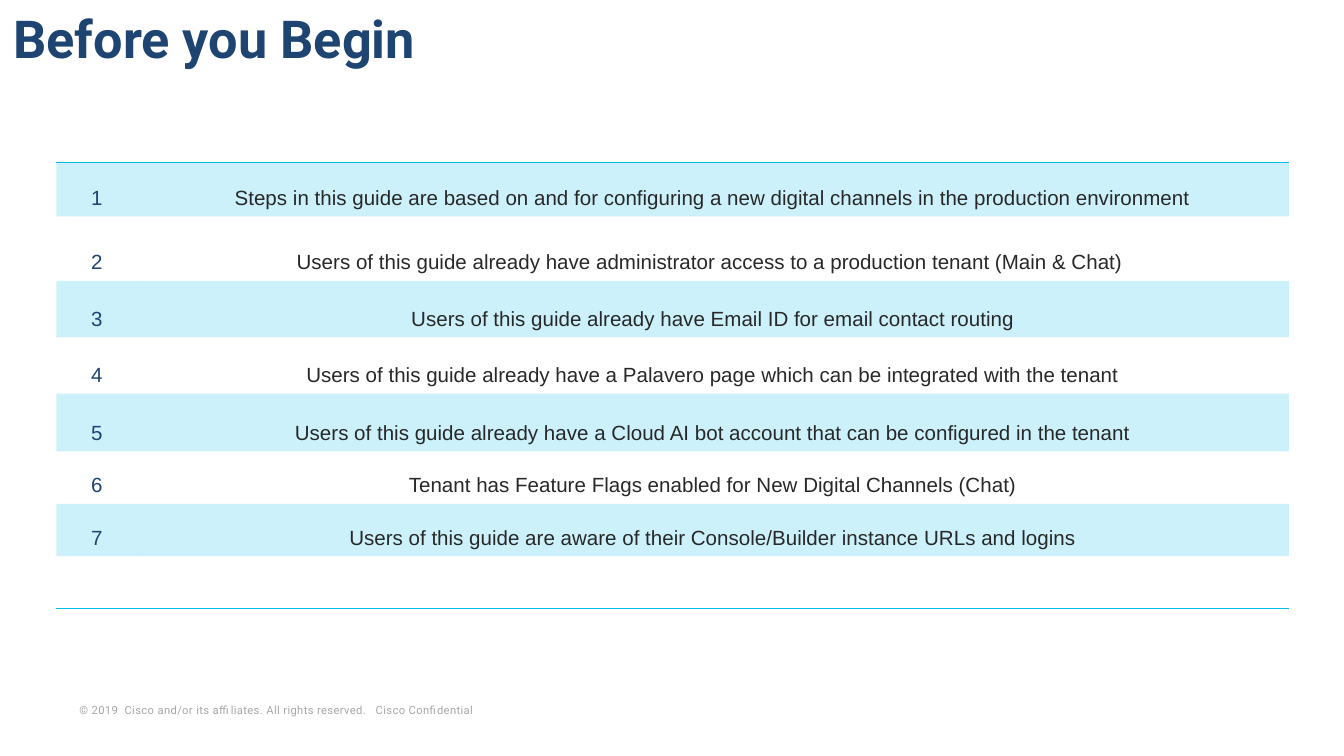
"""Build the "Before you Begin" slide with its table of prerequisites."""
from lxml.etree import SubElement
from pptx import Presentation
from pptx.dml.color import RGBColor
from pptx.enum.text import MSO_ANCHOR, MSO_AUTO_SIZE, PP_ALIGN
from pptx.oxml import parse_xml
from pptx.oxml.ns import nsdecls, qn
from pptx.util import Inches, Pt

NAVY, CYAN, DARK, GREY = "1E4471", "00BCEB", "282828", "A6A6A6"
PREREQUISITES = [
    "Steps in this guide are based on and for configuring a new digital channels in the production environment",
    "Users of this guide already have administrator access to a production tenant (Main & Chat) ",
    "Users of this guide already have Email ID for email contact routing",
    "Users of this guide already have a Palavero page which can be integrated with the tenant",
    "Users of this guide already have a Cloud AI bot account that can be configured in the tenant",
    "Tenant has Feature Flags enabled for New Digital Channels (Chat)",
    "Users of this guide are aware of their Console/Builder instance URLs and logins",
]
ROW_HEIGHTS = [0.4, 0.48, 0.42, 0.42, 0.43, 0.39, 0.39, 0.39]
COLUMN_WIDTHS = [0.6, 8.57]


def add_run(paragraph, text, font_name, size, color, bold=False):
    """Add one formatted run to a paragraph."""
    run = paragraph.add_run()
    run.text = text
    run.font.name = font_name
    run.font.size = Pt(size)
    run.font.bold = bold
    run.font.color.rgb = RGBColor.from_string(color)
    return run


def add_border(cell, side):
    """Draw a one-point cyan line on one side of a cell."""
    line = parse_xml(
        f'<a:{side} {nsdecls("a")} w="12700" cap="flat" cmpd="sng" algn="ctr">'
        f'<a:solidFill><a:srgbClr val="{CYAN}"/></a:solidFill>'
        f'<a:prstDash val="solid"/></a:{side}>'
    )
    cell._tc.get_or_add_tcPr().insert(0, line)


presentation = Presentation()
presentation.slide_width = Inches(10)
presentation.slide_height = Inches(10 * 9 / 16)
slide = presentation.slides.add_slide(presentation.slide_layouts[5])

title = slide.shapes.title
title.left, title.top = Inches(0), Inches(0)
title.width, title.height = Inches(3.25), Inches(0.57)
title.text_frame.word_wrap = False
title.text_frame.auto_size = MSO_AUTO_SIZE.NONE
title.text_frame.vertical_anchor = MSO_ANCHOR.TOP
title_paragraph = title.text_frame.paragraphs[0]
title_paragraph.alignment = PP_ALIGN.LEFT
add_run(title_paragraph, "Before you Begin", "Roboto", 28, NAVY, True)

table_frame = slide.shapes.add_table(
    len(ROW_HEIGHTS), len(COLUMN_WIDTHS), Inches(0.42), Inches(1.21),
    Inches(sum(COLUMN_WIDTHS)), Inches(sum(ROW_HEIGHTS)),
)
table = table_frame.table
table.first_row = False
table.horz_banding = False
table._tbl.tblPr.find(qn("a:tableStyleId")).text = "{2D5ABB26-0587-4C30-8999-92F81FD0307C}"
for column, width in zip(table.columns, COLUMN_WIDTHS):
    column.width = Inches(width)
for row, height in zip(table.rows, ROW_HEIGHTS):
    row.height = Inches(height)

for row_index, row in enumerate(table.rows):
    for cell in row.cells:
        cell.vertical_anchor = MSO_ANCHOR.BOTTOM
        cell.margin_left = cell.margin_right = cell.margin_top = Inches(0.01)
        cell.margin_bottom = Inches(0.05)
        if row_index % 2 == 0:
            cell.fill.solid()
            cell.fill.fore_color.rgb = RGBColor.from_string(CYAN)
            color = cell._tc.tcPr.find(".//" + qn("a:srgbClr"))
            SubElement(color, qn("a:alpha"), val="20000")
        else:
            cell.fill.background()

for number, prerequisite in enumerate(PREREQUISITES, 1):
    texts = [(str(number), NAVY), (prerequisite, DARK)]
    for cell, (text, color) in zip(table.rows[number - 1].cells, texts):
        paragraph = cell.text_frame.paragraphs[0]
        paragraph.alignment = PP_ALIGN.CENTER
        add_run(paragraph, text, "Arial", 11, color)

for row_index, side in [(0, "lnT"), (len(ROW_HEIGHTS) - 1, "lnB")]:
    for cell in table.rows[row_index].cells:
        add_border(cell, side)

footer = slide.shapes.add_textbox(Inches(0.52), Inches(5.19), Inches(3.72), Inches(0.17))
footer_frame = footer.text_frame
footer_frame.word_wrap = True
footer_frame.vertical_anchor = MSO_ANCHOR.BOTTOM
footer_frame.margin_left = footer_frame.margin_right = Inches(0.07)
footer_frame.margin_top = footer_frame.margin_bottom = Inches(0.03)
copyright_run = add_run(
    footer_frame.paragraphs[0],
    "© 2019  Cisco and/or its affiliates. All rights reserved.   Cisco Confidential",
    "Roboto", 6, GREY,
)
copyright_run.font._element.set("spc", "20")

presentation.save("out.pptx")
